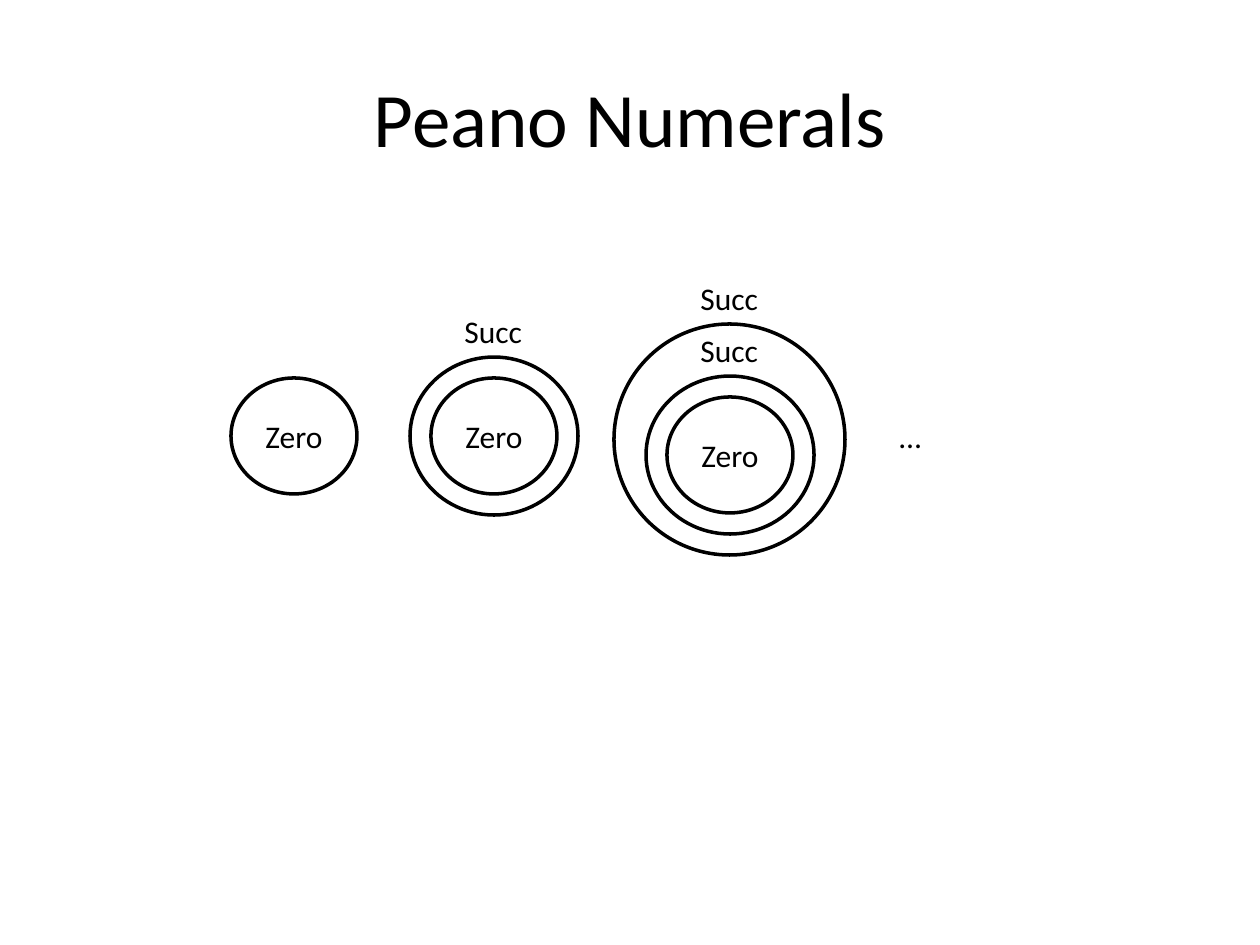
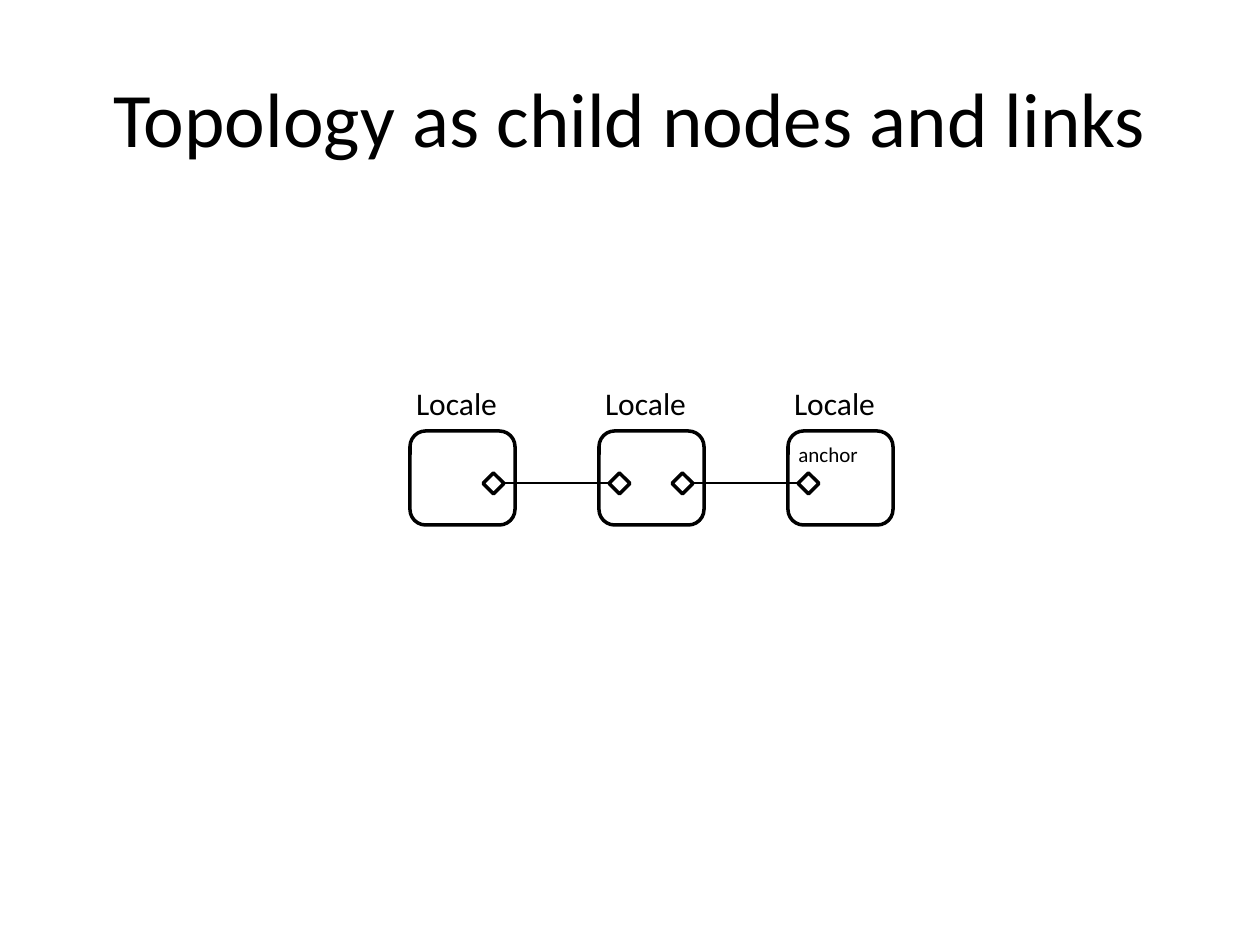
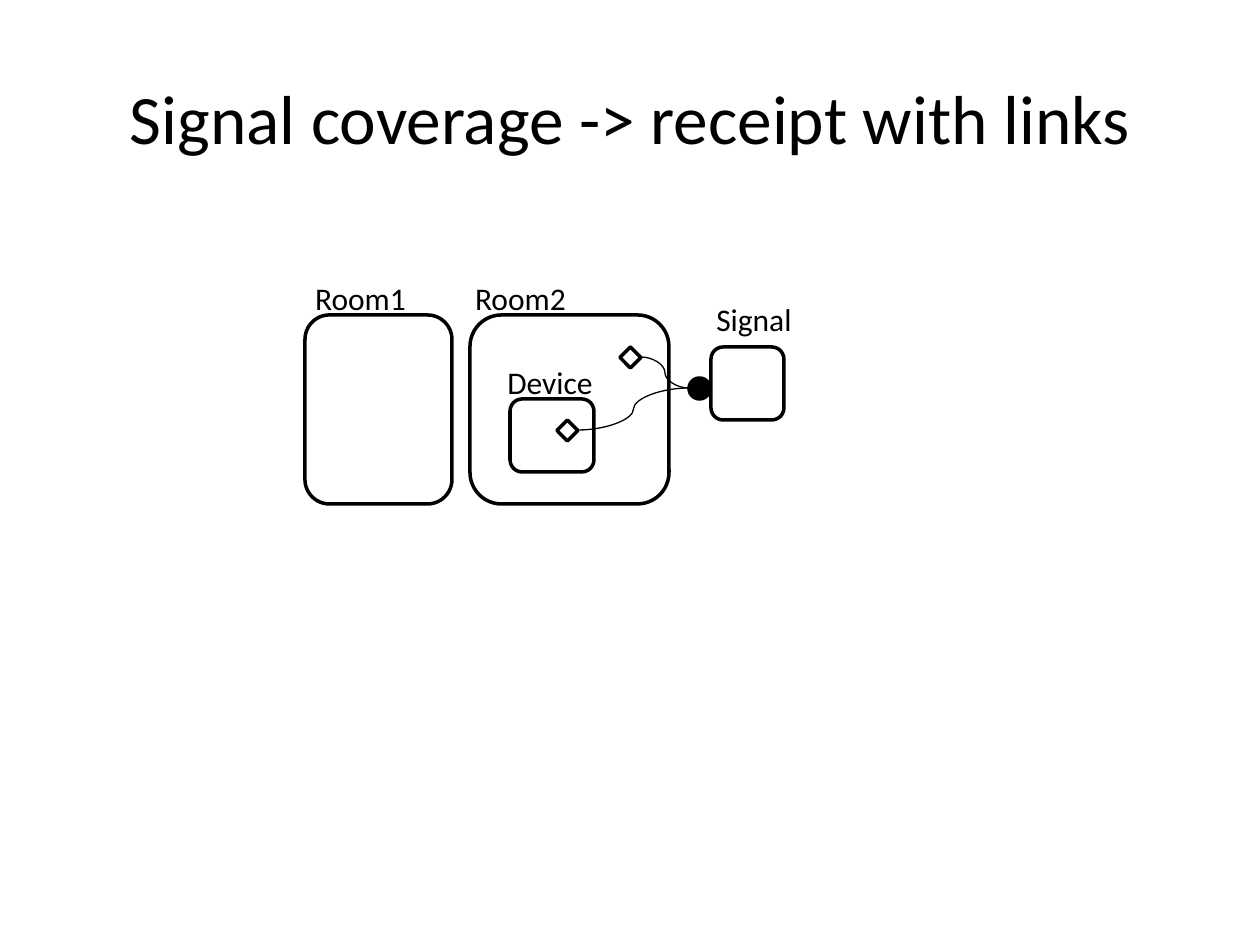
from pptx import Presentation
from pptx.dml.color import RGBColor
from pptx.enum.shapes import MSO_CONNECTOR, MSO_SHAPE
from pptx.enum.text import MSO_ANCHOR, MSO_AUTO_SIZE, PP_ALIGN
from pptx.oxml.ns import qn
from pptx.util import Emu, Pt
from lxml import etree

OVAL = MSO_SHAPE.OVAL
ROUNDED = MSO_SHAPE.ROUNDED_RECTANGLE
DIAMOND = MSO_SHAPE.DIAMOND
CURVE = MSO_CONNECTOR.CURVE
LEFT, CENTER = PP_ALIGN.LEFT, PP_ALIGN.CENTER
TOP, MIDDLE = MSO_ANCHOR.TOP, MSO_ANCHOR.MIDDLE
FIT_SHAPE, NO_FIT = MSO_AUTO_SIZE.SHAPE_TO_FIT_TEXT, MSO_AUTO_SIZE.NONE

COLORS = {"ink": "000000", "paper": "FFFFFF"}
FONT = "Calibri"
EMU_PER_PIXEL = 914400 / 126
TITLE_BOX = (63, 38, 1134, 157)
TITLE_ONLY_LAYOUT = 5
LABEL_HEIGHT = 50
MARK = 21  # side of a diamond or dot


def px(*lengths):
    """Turn pixel lengths into EMU."""
    return [Emu(round(length * EMU_PER_PIXEL)) for length in lengths]


def color(name):
    """Look up a named colour."""
    return RGBColor.from_string(COLORS[name])


def write_text(shape, text, size=18, align=LEFT, anchor=TOP, wrap=True, fit=NO_FIT):
    """Put one formatted paragraph into a shape."""
    frame = shape.text_frame
    frame.word_wrap = wrap
    frame.auto_size = fit
    frame.vertical_anchor = anchor
    paragraph = frame.paragraphs[0]
    paragraph.alignment = align
    run = paragraph.add_run()
    run.text = text
    run.font.name = FONT
    run.font.size = Pt(size)
    run.font.color.rgb = color("ink")


class Deck:
    """Holds the presentation, its style and the current slide."""

    def __init__(self):
        """Start an empty 10 by 7.5 inch presentation."""
        self.presentation = Presentation()
        self.presentation.slide_width, self.presentation.slide_height = px(1260, 945)
        self.slide = None

    def new_slide(self, title, size=44):
        """Add a slide with a centred title."""
        layout = self.presentation.slide_layouts[TITLE_ONLY_LAYOUT]
        self.slide = self.presentation.slides.add_slide(layout)
        shape = self.slide.shapes.title
        shape.left, shape.top, shape.width, shape.height = px(*TITLE_BOX)
        write_text(shape, title, size=size, align=CENTER, anchor=MIDDLE)

    def node(self, kind, left, top, width, height, fill=None, text=None):
        """Draw an outlined shape, optionally filled and captioned."""
        shape = self.slide.shapes.add_shape(kind, *px(left, top, width, height))
        shape.shadow.inherit = False
        if fill:
            shape.fill.solid()
            shape.fill.fore_color.rgb = color(fill)
        else:
            shape.fill.background()
        shape.line.color.rgb = color("ink")
        shape.line.width = Pt(2)
        if text:
            write_text(shape, text, align=CENTER, anchor=MIDDLE)

    def label(self, text, left, top, width, height=LABEL_HEIGHT, wrap=False, **style):
        """Draw a free-standing label."""
        shape = self.slide.shapes.add_textbox(*px(left, top, width, height))
        write_text(shape, text, wrap=wrap, fit=FIT_SHAPE, **style)

    def diamond(self, left, top):
        """Draw a link anchor."""
        self.node(DIAMOND, left, top, MARK, MARK)

    def link(self, start, end):
        """Draw a thin curved connector between two points."""
        connector = self.slide.shapes.add_connector(CURVE, *px(*start, *end))
        connector.line.color.rgb = color("ink")
        connector.line.width = Pt(0.75)
        etree.SubElement(connector._element.spPr, qn("a:effectLst"))

    def zero(self, left, top):
        """Draw the innermost numeral."""
        self.node(OVAL, left, top, 126, 116, fill="paper", text="Zero")

    def one(self, left, top):
        """Draw zero inside its first successor ring."""
        self.zero(left, top)
        self.node(OVAL, left - MARK, top - MARK, 168, 158)
        self.label("Succ", left + 21, top - 72, 168, wrap=True)


def peano_slide(deck):
    """Nested circles for zero, one and two."""
    deck.new_slide("Peano Numerals")
    deck.zero(231, 378)
    deck.one(431, 378)
    deck.label("…", 887, 411, 48)
    deck.one(667, 397)
    deck.node(OVAL, 614, 324, 231, 231)
    deck.label("Succ", 688, 273, 231, wrap=True)


def topology_slide(deck):
    """Three locales chained by links."""
    deck.new_slide("Topology as child nodes and links")
    locales = [410 + 189 * index for index in range(3)]
    for left in locales:
        deck.node(ROUNDED, left, 431, 105, 94, fill="paper")
        deck.label("Locale", left - 7, 378, 107, align=CENTER)
    for left, following in zip(locales, locales[1:]):
        exit_left, entry_left = left + 73, following + 10
        deck.link((entry_left, 483), (exit_left + MARK, 483))
        deck.diamond(exit_left, 473)
        deck.diamond(entry_left, 473)
    deck.label("anchor", 786, 435, 86, 38, size=12)


def signal_slide(deck):
    """A signal linked to a room and to a device in it."""
    deck.new_slide("Signal coverage -> receipt with links", size=39.6)
    receiver = (689, 388)
    deck.node(ROUNDED, 305, 315, 147, 189, fill="paper")
    deck.label("Room1", 302, 273, 117, align=CENTER)
    deck.node(ROUNDED, 470, 315, 199, 189, fill="paper")
    deck.label("Room2", 462, 273, 117, align=CENTER)
    deck.label("Signal", 703, 294, 102, align=CENTER)
    deck.node(ROUNDED, 510, 399, 84, 73, fill="paper")
    deck.node(ROUNDED, 711, 347, 73, 73)
    deck.node(OVAL, 689, 378, MARK, MARK, fill="ink")
    deck.label("Device", 494, 357, 112, align=CENTER)
    for left, top in ((620, 347), (557, 420)):
        deck.link((left + MARK, top + 10), receiver)
        deck.diamond(left, top)


def main():
    """Build and save the presentation."""
    deck = Deck()
    peano_slide(deck)
    topology_slide(deck)
    signal_slide(deck)
    deck.presentation.save("out.pptx")


main()
